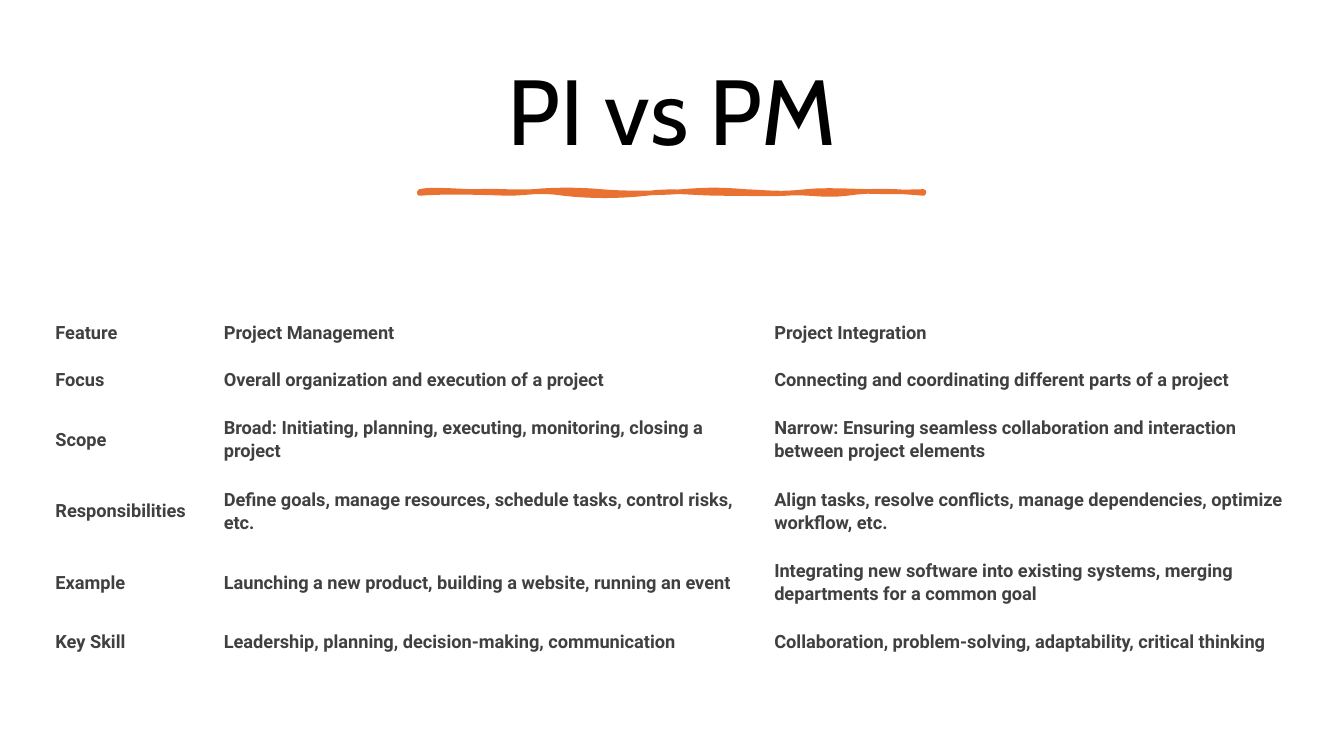
from pptx import Presentation
from pptx.dml.color import RGBColor
from pptx.enum.text import MSO_ANCHOR, PP_ALIGN
from pptx.util import Inches, Pt

BLACK = RGBColor(0x00, 0x00, 0x00)
GREY = RGBColor(0x40, 0x40, 0x40)
ORANGE = RGBColor(0xE9, 0x71, 0x32)
MIDDLE = MSO_ANCHOR.MIDDLE
CENTER = PP_ALIGN.CENTER

TITLE = "PI vs PM"
ROWS = [
    ("Feature", "Project Management", "Project Integration"),
    ("Focus", "Overall organization and execution of a project",
     "Connecting and coordinating different parts of a project"),
    ("Scope", "Broad: Initiating, planning, executing, monitoring, closing a project",
     "Narrow: Ensuring seamless collaboration and interaction between project elements"),
    ("Responsibilities", "Define goals, manage resources, schedule tasks, control risks, etc.",
     "Align tasks, resolve conflicts, manage dependencies, optimize workflow, etc."),
    ("Example", "Launching a new product, building a website, running an event",
     "Integrating new software into existing systems, merging departments for a common goal"),
    ("Key Skill", "Leadership, planning, decision-making, communication",
     "Collaboration, problem-solving, adaptability, critical thinking"),
]
COLUMN_WIDTHS = (1.67, 5.46, 5.5)
SINGLE, DOUBLE = 0.47, 0.71
ROW_HEIGHTS = (SINGLE, SINGLE, DOUBLE, DOUBLE, DOUBLE, SINGLE)
TABLE_LEFT, TABLE_TOP = 0.35, 3.06
TITLE_BOX = (0.7, 0.46, 11.93, 1.37)

STROKE_START = (4.16, 1.9)
STROKE_CURVES = [
    ((4.28, 1.87), (4.54, 1.9), (4.73, 1.9)),
    ((4.92, 1.89), (5.09, 1.91), (5.29, 1.9)),
    ((5.49, 1.88), (5.74, 1.88), (5.96, 1.9)),
    ((6.17, 1.92), (6.53, 1.92), (6.77, 1.9)),
    ((7.02, 1.88), (7.14, 1.88), (7.39, 1.9)),
    ((7.63, 1.91), (7.74, 1.93), (8, 1.9)),
    ((8.26, 1.87), (8.67, 1.92), (9.16, 1.9)),
    ((9.17, 1.91), (9.16, 1.91), (9.16, 1.92)),
    ((8.95, 1.9), (8.65, 1.88), (8.4, 1.92)),
    ((8.15, 1.95), (8.01, 1.9), (7.79, 1.92)),
    ((7.56, 1.93), (7.47, 1.92), (7.17, 1.92)),
    ((6.87, 1.92), (6.67, 1.88), (6.41, 1.92)),
    ((6.14, 1.95), (5.85, 1.95), (5.59, 1.92)),
    ((5.34, 1.88), (5.23, 1.92), (5.03, 1.92)),
    ((4.83, 1.91), (4.38, 1.9), (4.16, 1.92)),
]
CURVE_STEPS = 8

TITLE_FONT = {"name": "Cabin", "size": Pt(66)}
CELL_FONT = {"name": "Roboto", "size": Pt(13), "bold": True}
CELL_FORMAT = {"margin_left": Inches(0.2), "margin_right": Inches(0.15),
               "margin_top": Inches(0.1), "margin_bottom": Inches(0.1),
               "vertical_anchor": MIDDLE}


def set_attributes(target, values):
    for name, value in values.items():
        setattr(target, name, value)


def write(paragraph, text, font, color, spacing):
    run = paragraph.add_run()
    run.text = text
    set_attributes(run.font, font)
    run.font.color.rgb = color
    paragraph.line_spacing = spacing


def curve_points(start, curves):
    points = []
    for first, second, end in curves:
        for step in range(1, CURVE_STEPS + 1):
            t = step / CURVE_STEPS
            weights = ((1 - t) ** 3, 3 * t * (1 - t) ** 2, 3 * t ** 2 * (1 - t), t ** 3)
            corners = (start, first, second, end)
            points.append(tuple(Inches(sum(w * corner[axis] for w, corner in zip(weights, corners)))
                                for axis in (0, 1)))
        start = end
    return points


def add_title(slide):
    frame = slide.shapes.add_textbox(*map(Inches, TITLE_BOX)).text_frame
    set_attributes(frame, {"word_wrap": True, "vertical_anchor": MIDDLE})
    paragraph = frame.paragraphs[0]
    paragraph.alignment = CENTER
    write(paragraph, TITLE, TITLE_FONT, BLACK, 0.9)


def add_brush_stroke(slide):
    builder = slide.shapes.build_freeform(*map(Inches, STROKE_START))
    builder.add_line_segments(curve_points(STROKE_START, STROKE_CURVES), close=True)
    shape = builder.convert_to_shape()
    shape.shadow.inherit = False
    shape.fill.solid()
    shape.fill.fore_color.rgb = ORANGE
    shape.line.color.rgb = ORANGE
    shape.line.width = Pt(3.25)


def add_comparison(slide):
    box = (TABLE_LEFT, TABLE_TOP, sum(COLUMN_WIDTHS), sum(ROW_HEIGHTS))
    table = slide.shapes.add_table(len(ROWS), len(COLUMN_WIDTHS), *map(Inches, box)).table
    set_attributes(table, {"first_row": False, "horz_banding": False})
    for column, width in zip(table.columns, COLUMN_WIDTHS):
        column.width = Inches(width)
    for row, height, texts in zip(table.rows, ROW_HEIGHTS, ROWS):
        row.height = Inches(height)
        for cell, text in zip(row.cells, texts):
            cell.fill.background()
            set_attributes(cell, CELL_FORMAT)
            write(cell.text_frame.paragraphs[0], text, CELL_FONT, GREY, Pt(16.5))


def main():
    """Build the slide that compares project management and integration."""
    presentation = Presentation()
    presentation.slide_width = Inches(13.33)
    presentation.slide_height = Inches(7.5)
    slide = presentation.slides.add_slide(presentation.slide_layouts[6])
    add_title(slide)
    add_brush_stroke(slide)
    add_comparison(slide)
    presentation.save("out.pptx")


if __name__ == "__main__":
    main()
